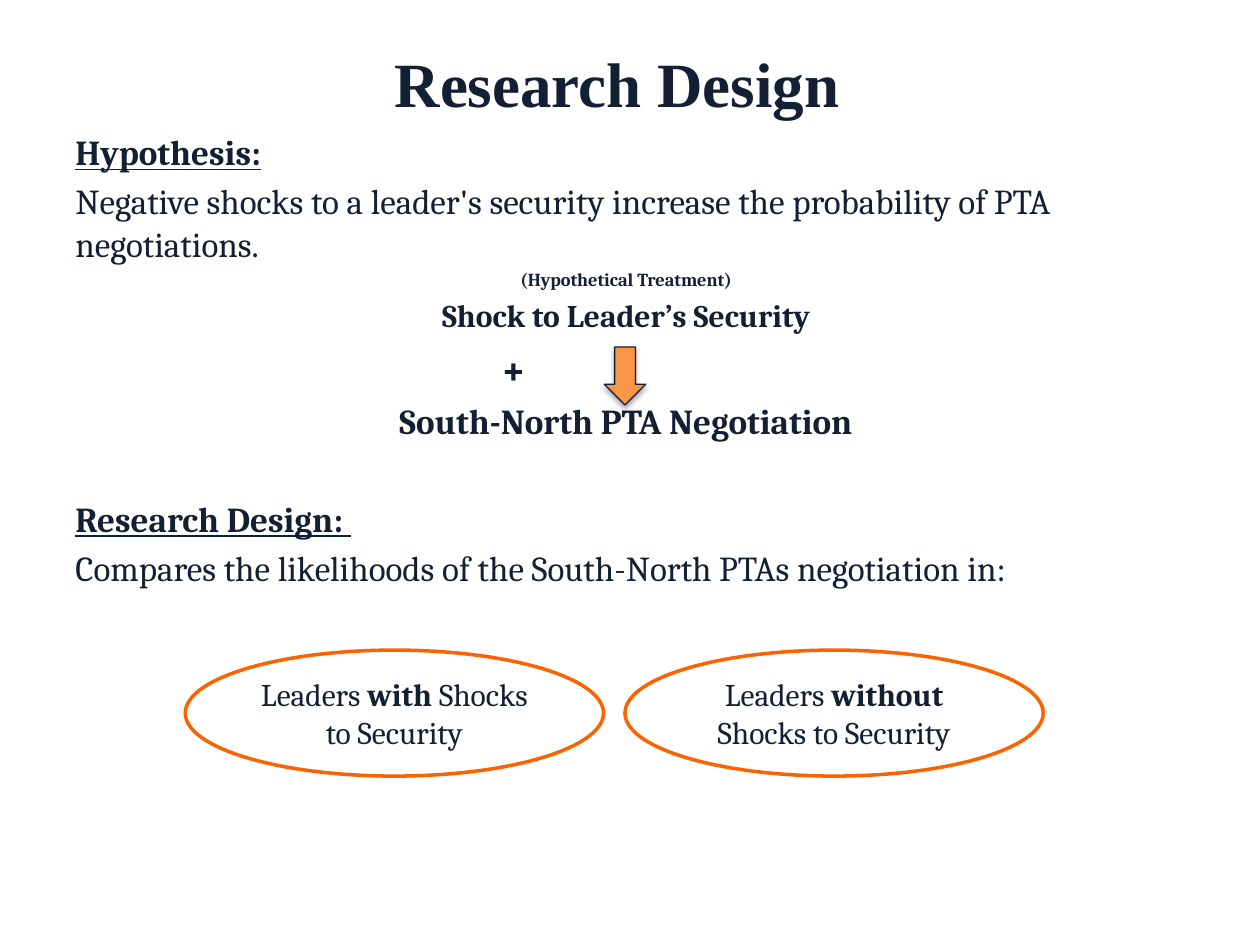
from lxml import etree
from pptx import Presentation
from pptx.dml.color import RGBColor
from pptx.enum.shapes import MSO_SHAPE
from pptx.enum.text import MSO_ANCHOR, PP_ALIGN
from pptx.oxml.ns import qn
from pptx.util import Inches, Pt

LEFT, CENTER = PP_ALIGN.LEFT, PP_ALIGN.CENTER
TOP, MIDDLE = MSO_ANCHOR.TOP, MSO_ANCHOR.MIDDLE
ELLIPSE, RIGHT_ARROW = MSO_SHAPE.OVAL, MSO_SHAPE.RIGHT_ARROW
TITLE_ONLY = 5


def rgb(value):
    return RGBColor.from_string(value)


def write(paragraph, text, size=20, font="Cambria", color="131F33", bold=False,
          underline=False, align=LEFT, before=0, indent=0):
    """Add a formatted run to a paragraph and set the paragraph's layout."""
    paragraph.alignment = align
    paragraph.space_before = Pt(before)
    if indent:
        paragraph._p.get_or_add_pPr().set("marL", str(Inches(indent)))
    run = paragraph.add_run()
    run.text = text
    run.font.size = Pt(size)
    run.font.name = font
    run.font.bold = bold
    run.font.underline = underline
    run.font.color.rgb = rgb(color)


class DesignSlide:
    ARROW_FILL, ARROW_LINE = "F79646", "121E33"
    GROUP_FILL, GROUP_LINE = "FFFFFF", "FA6300"

    def __init__(self, presentation):
        self.slide = presentation.slides.add_slide(
            presentation.slide_layouts[TITLE_ONLY])

    def title(self, text, left, top, width, height):
        heading = self.slide.shapes.title
        heading.left, heading.top = Inches(left), Inches(top)
        heading.width, heading.height = Inches(width), Inches(height)
        frame = heading.text_frame
        frame.vertical_anchor = TOP
        write(frame.paragraphs[0], text, size=36, font="Times New Roman",
              bold=True, align=CENTER)

    def body(self, lines, left, top, width, height):
        frame = self.slide.shapes.add_textbox(
            Inches(left), Inches(top), Inches(width), Inches(height)).text_frame
        frame.word_wrap = True
        for number, (text, style) in enumerate(lines):
            paragraph = frame.add_paragraph() if number else frame.paragraphs[0]
            write(paragraph, text, **style)

    def shape(self, kind, left, top, width, height, fill, line, weight):
        item = self.slide.shapes.add_shape(
            kind, Inches(left), Inches(top), Inches(width), Inches(height))
        item.shadow.inherit = False
        item.fill.solid()
        item.fill.fore_color.rgb = rgb(fill)
        item.line.color.rgb = rgb(line)
        item.line.width = Pt(weight)
        return item

    def down_arrow(self, left, top, width, height):
        arrow = self.shape(RIGHT_ARROW, left, top, width, height,
                           self.ARROW_FILL, self.ARROW_LINE, 0.75)
        arrow.rotation = 90
        # Soft shadow below the arrow
        effects = arrow._element.spPr.find(qn("a:effectLst"))
        shadow = etree.SubElement(
            effects, qn("a:outerShdw"), blurRad=str(Pt(3.1)),
            dist=str(Pt(1.8)), dir="5400000", rotWithShape="0")
        tint = etree.SubElement(shadow, qn("a:srgbClr"), val="000000")
        etree.SubElement(tint, qn("a:alpha"), val="35000")

    def group(self, condition, left, top, width, height):
        ellipse = self.shape(ELLIPSE, left, top, width, height,
                             self.GROUP_FILL, self.GROUP_LINE, 2)
        frame = ellipse.text_frame
        frame.word_wrap = True
        frame.vertical_anchor = MIDDLE
        for text, bold in (("Leaders ", False), (condition, True),
                           (" Shocks to Security", False)):
            write(frame.paragraphs[0], text, size=18, bold=bold, align=CENTER)


def main():
    presentation = Presentation()
    presentation.slide_width, presentation.slide_height = Inches(10), Inches(7.5)
    design = DesignSlide(presentation)
    design.title("Research Design ", 0.42, 0.3, 9.08, 1.25)

    # Hypothesis, causal claim and research design
    heading = dict(bold=True, underline=True)
    claim = dict(bold=True, align=CENTER)
    design.body([
        ("Hypothesis:", dict(heading, before=4)),
        ("Negative shocks to a leader's security increase the probability "
         "of PTA negotiations.", dict(before=4)),
        ("(Hypothetical Treatment)", dict(claim, size=10.5, before=2.1)),
        ("Shock to Leader’s Security", dict(claim, size=18, before=3.6)),
        ("+", dict(size=24, bold=True, before=4.8, indent=3.38)),
        ("South-North PTA Negotiation", dict(claim, before=4)),
        ("Research Design: ", dict(heading, before=32)),
        ("Compares the likelihoods of the South-North PTAs negotiation in:",
         dict(before=4)),
    ], 0.5, 0.99, 8.94, 5.52)
    design.down_arrow(4.73, 2.82, 0.46, 0.33)

    # Compared groups of leaders
    for column, condition in enumerate(("with", "without")):
        design.group(condition, 1.47 + column * 3.49, 5.16, 3.32, 1)

    presentation.save("out.pptx")


if __name__ == "__main__":
    main()
